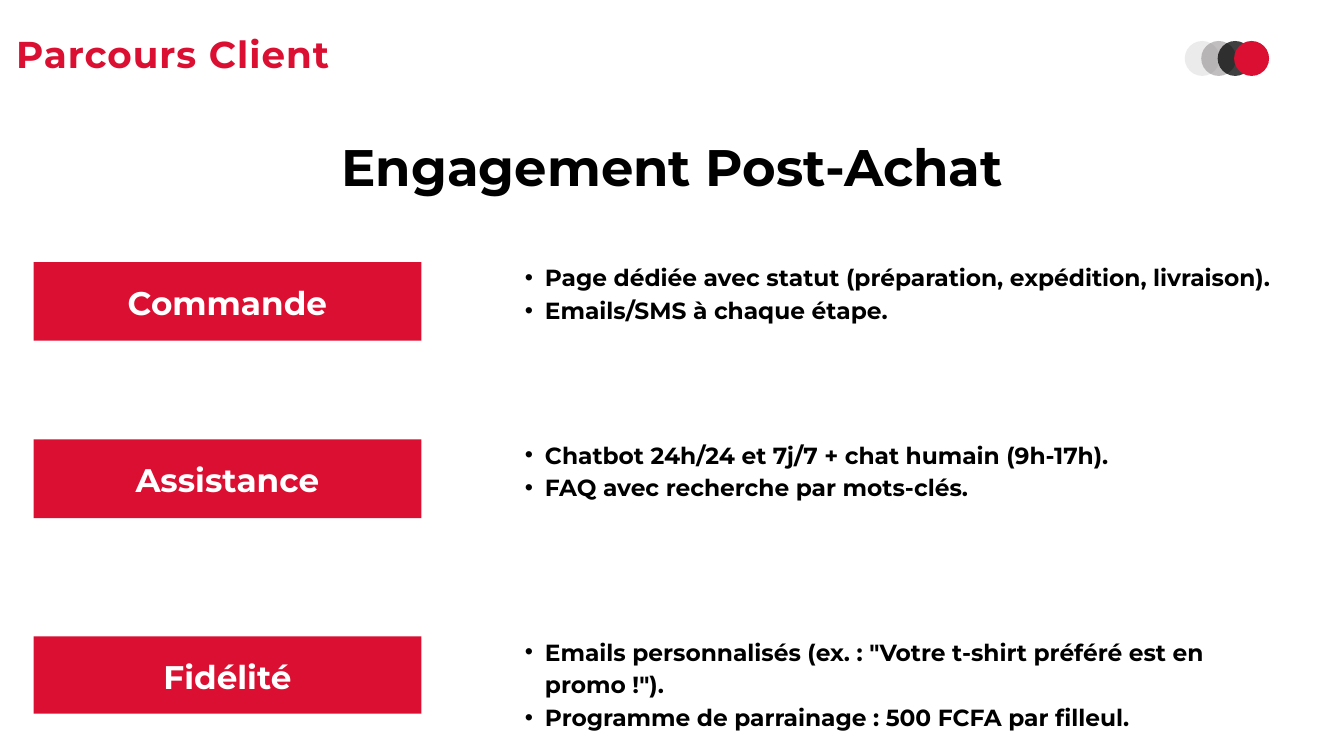
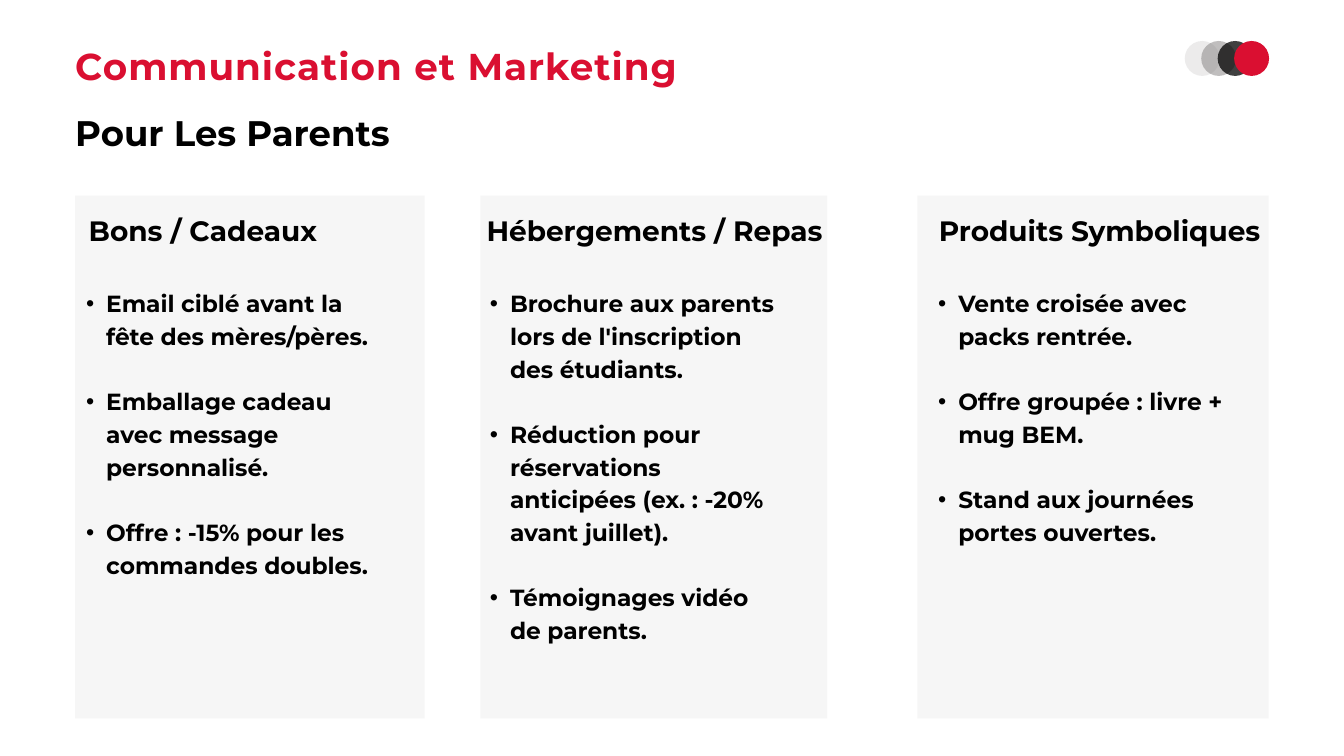
from dataclasses import dataclass

from lxml import etree
from pptx import Presentation
from pptx.dml.color import RGBColor
from pptx.enum.shapes import MSO_SHAPE
from pptx.enum.text import MSO_AUTO_SIZE, PP_ALIGN
from pptx.oxml.ns import qn
from pptx.util import Inches, Pt

LEFT, CENTER = PP_ALIGN.LEFT, PP_ALIGN.CENTER
RECTANGLE, OVAL = MSO_SHAPE.RECTANGLE, MSO_SHAPE.OVAL
GROW = MSO_AUTO_SIZE.SHAPE_TO_FIT_TEXT


@dataclass(frozen=True)
class Theme:
    font: str = "Montserrat"
    red: str = "DA0F31"
    black: str = "000000"
    white: str = "FFFFFF"
    gray: str = "827F7F"
    panel: str = "F6F6F6"
    # (size, line spacing) in points
    title: tuple = (40, 56)
    headline: tuple = (55, 59.4)
    subtitle: tuple = (38, 41)
    label: tuple = (35, 49)
    heading: tuple = (30, 32.4)
    body: tuple = (25, 35)


THEME = Theme()

# Top, banner height, label, bullets, bullet box width and height
STEPS = [
    (3.9, 1.17, "Commande",
     ["Page dédiée avec statut (préparation, expédition, livraison).",
      "Emails/SMS à chaque étape."], 12.14, 1.41),
    (6.54, 1.17, "Assistance",
     ["Chatbot 24h/24 et 7j/7 + chat humain (9h-17h).",
      "FAQ avec recherche par mots-clés."], 9.17, 0.93),
    (9.47, 1.15, "Fidélité",
     ['Emails personnalisés (ex. : "Votre t-shirt préféré est en promo !").',
      "Programme de parrainage : 500 FCFA par filleul."], 12.14, 1.41),
]

# Panel left and width, heading left, bullets left and height, heading, bullets
OFFERS = [
    (1.12, 5.2, 1.32, 0.99, 4.28, "Bons / Cadeaux",
     ["Email ciblé avant la fête des mères/pères.",
      "Emballage cadeau avec message personnalisé.",
      "Offre : -15% pour les commandes doubles."]),
    (7.15, 5.16, 7.24, 7, 4.76, "Hébergements / Repas",
     ["Brochure aux parents lors de l'inscription des étudiants.",
      "Réduction pour réservations anticipées (ex. : -20% avant juillet).",
      "Témoignages vidéo de parents."]),
    (13.65, 5.23, 13.97, 13.67, 3.81, "Produits Symboliques",
     ["Vente croisée avec packs rentrée.",
      "Offre groupée : livre + mug BEM.",
      "Stand aux journées portes ouvertes."]),
]

# Colour and opacity in percent, from left to right
DOTS = [(THEME.gray, 15), (THEME.gray, 50), (THEME.black, 75), (THEME.red, 100)]


def add_bullet(para):
    para.level = 1
    props = para._p.get_or_add_pPr()
    props.set("marL", str(Inches(0.59)))
    props.set("indent", str(Inches(-0.3)))
    etree.SubElement(props, qn("a:buFont")).set("typeface", "Arial")
    etree.SubElement(props, qn("a:buChar")).set("char", "•")


def add_text(slide, lines, left, top, width, height, *, style, color=THEME.black,
             align=LEFT, bullets=False, gap=0, tracking=0):
    box = slide.shapes.add_textbox(Inches(left), Inches(top), Inches(width), Inches(height))
    frame = box.text_frame
    frame.word_wrap = True
    frame.auto_size = GROW
    frame.margin_left = frame.margin_right = frame.margin_top = frame.margin_bottom = 0
    size, spacing = style
    for index, line in enumerate(lines):
        para = frame.add_paragraph() if index else frame.paragraphs[0]
        para.alignment = align
        para.line_spacing = Pt(spacing)
        if index and gap:
            para.space_before = Pt(gap)
        if bullets:
            add_bullet(para)
        span = para.add_run()
        span.text = line
        font = span.font
        font.name, font.size, font.bold = THEME.font, Pt(size), True
        font.color.rgb = RGBColor.from_string(color)
        if tracking:
            span._r.get_or_add_rPr().set("spc", str(round(tracking * 100)))


def add_block(slide, kind, left, top, width, height, color, opacity=100):
    shape = slide.shapes.add_shape(kind, Inches(left), Inches(top), Inches(width), Inches(height))
    shape.shadow.inherit = False
    shape.line.fill.background()
    shape.fill.solid()
    shape.fill.fore_color.rgb = RGBColor.from_string(color)
    if opacity < 100:
        tint = shape._element.spPr.find(qn("a:solidFill"))[0]
        etree.SubElement(tint, qn("a:alpha")).set("val", str(opacity * 1000))


def add_slide(deck, title, *title_place):
    """Add a slide with the shared background, red title and row of dots."""
    slide = deck.slides.add_slide(deck.slide_layouts[6])
    slide.background.fill.solid()
    slide.background.fill.fore_color.rgb = RGBColor.from_string(THEME.white)
    add_text(slide, [title], *title_place, style=THEME.title, color=THEME.red, tracking=1.1)
    for index, (color, opacity) in enumerate(DOTS):
        add_block(slide, OVAL, 17.63 + index * 0.245, 0.61, 0.52, 0.52, color, opacity)
    return slide


def build_journey(deck):
    slide = add_slide(deck, "Parcours Client", 0.24, 0.35, 4.91, 0.73)
    add_text(slide, ["Engagement Post-Achat"], 4.15, 2.1, 11.7, 0.85,
             style=THEME.headline, align=CENTER)
    for top, banner_height, label, bullets, width, height in STEPS:
        add_block(slide, RECTANGLE, 0.5, top, 5.77, banner_height, THEME.red)
        add_text(slide, [label], 0.5, top + 0.21, 5.77, 0.66,
                 style=THEME.label, color=THEME.white, align=CENTER)
        add_text(slide, bullets, 7.52, top - 0.05, width, height,
                 style=THEME.body, bullets=True)


def build_marketing(deck):
    slide = add_slide(deck, "Communication et Marketing", 1.12, 0.53, 10, 1.5)
    add_text(slide, ["Pour Les Parents"], 1.12, 1.72, 6.03, 0.58, style=THEME.subtitle)
    for left, width, heading_left, list_left, list_height, heading, bullets in OFFERS:
        add_block(slide, RECTANGLE, left, 2.91, width, 7.78, THEME.panel)
        add_text(slide, [heading], heading_left, 3.23, 6.03, 0.46, style=THEME.heading)
        add_text(slide, bullets, list_left, 4.24, 4.67, list_height,
                 style=THEME.body, bullets=True, gap=THEME.body[1])


def main():
    deck = Presentation()
    deck.slide_width, deck.slide_height = Inches(20), Inches(11.25)
    build_journey(deck)
    build_marketing(deck)
    deck.save("out.pptx")


if __name__ == "__main__":
    main()
